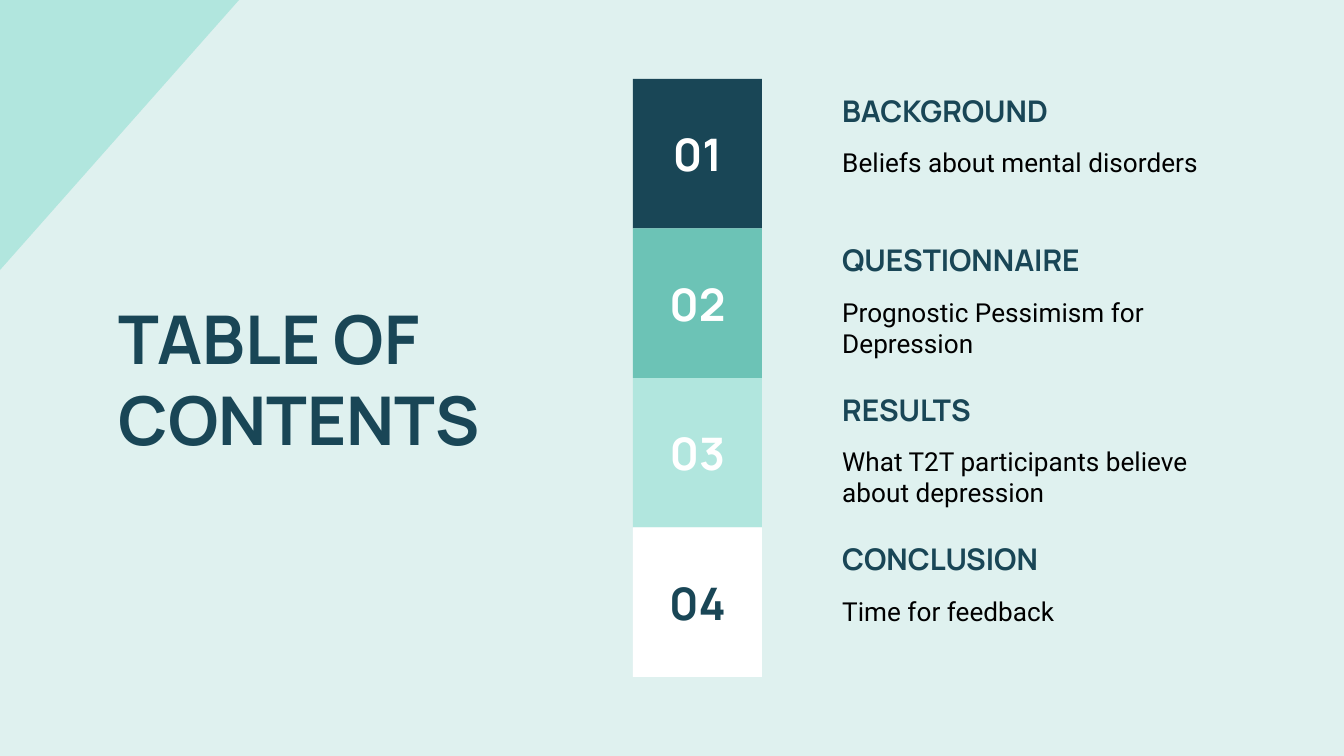
from pptx import Presentation
from pptx import util as u
from pptx.dml.color import RGBColor
from pptx.enum import shapes, text

TITLE = "TABLE OF CONTENTS"
SECTIONS = [
    # number, heading, description, tile colour, number colour
    ("01", "BACKGROUND", "Beliefs about mental disorders", "navy", "white"),
    ("02", "QUESTIONNAIRE", "Prognostic Pessimism for Depression", "teal", "white"),
    ("03", "RESULTS", "What T2T participants believe about depression", "mint", "white"),
    ("04", "CONCLUSION", "Time for feedback", "white", "navy"),
]
THEME = {
    "colors": {"background": "DFF1EF", "navy": "194656", "teal": "6CC3B6",
               "mint": "B1E6DE", "white": "FFFFFF", "black": "000000"},
    # font, size in points, bold
    "title": ("Manrope", 36, True),
    "number": ("Manrope", 24, True),
    "heading": ("Manrope", 16, True),
    "description": ("Roboto", 14, False),
}

SLIDE_WIDTH, SLIDE_HEIGHT = 1344, 756
CORNER_WIDTH, CORNER_HEIGHT = 239, 270
TITLE_BOX = (105, 243, 462, 270)
TILE_LEFT, TILE_TOP, TILE_WIDTH = 633, 79, 129
ROW_PITCH = 149.5
TEXT_LEFT, TEXT_WIDTH = 829, 410
HEADING_HEIGHT, DESCRIPTION_HEIGHT = 54, 78
INSET = 13.44


def px(value):
    return u.Emu(round(value * 914400 / 134.4))


def color(name):
    return RGBColor.from_string(THEME["colors"][name])


def paint(shape, color_name):
    shape.fill.solid()
    shape.fill.fore_color.rgb = color(color_name)
    shape.line.fill.background()
    shape.shadow.inherit = False


def write(shape, content, style, color_name, align=text.PP_ALIGN.LEFT,
          anchor=text.MSO_ANCHOR.TOP, side_inset=INSET):
    frame = shape.text_frame
    frame.text = content
    frame.word_wrap = True
    frame.auto_size = text.MSO_AUTO_SIZE.NONE
    frame.vertical_anchor = anchor
    frame.margin_left = frame.margin_right = px(side_inset)
    frame.margin_top = frame.margin_bottom = px(INSET)
    paragraph = frame.paragraphs[0]
    paragraph.alignment = align
    font = paragraph.runs[0].font
    name, size, font.bold = THEME[style]
    font.name, font.size = name, u.Pt(size)
    font.color.rgb = color(color_name)


def add_corner(slide):
    builder = slide.shapes.build_freeform(0, 0)
    builder.add_line_segments([(0, px(CORNER_HEIGHT)), (px(CORNER_WIDTH), 0)])
    paint(builder.convert_to_shape(), "mint")


def add_title(slide):
    title = slide.shapes.title
    title.left, title.top, title.width, title.height = map(px, TITLE_BOX)
    write(title, TITLE, "title", "navy", anchor=text.MSO_ANCHOR.MIDDLE)


def add_section(slide, top, number, heading, description, tile_color, number_color):
    tile = slide.shapes.add_shape(
        shapes.MSO_SHAPE.RECTANGLE,
        px(TILE_LEFT), px(top), px(TILE_WIDTH), px(ROW_PITCH))
    paint(tile, tile_color)
    write(tile, number, "number", number_color, text.PP_ALIGN.CENTER,
          text.MSO_ANCHOR.MIDDLE, side_inset=0)

    heading_box = slide.shapes.add_textbox(
        px(TEXT_LEFT), px(top), px(TEXT_WIDTH), px(HEADING_HEIGHT))
    write(heading_box, heading, "heading", "navy")
    description_box = slide.shapes.add_textbox(
        px(TEXT_LEFT), px(top + HEADING_HEIGHT), px(TEXT_WIDTH), px(DESCRIPTION_HEIGHT))
    write(description_box, description, "description", "black")


def main():
    presentation = Presentation()
    presentation.slide_width = px(SLIDE_WIDTH)
    presentation.slide_height = px(SLIDE_HEIGHT)
    slide = presentation.slides.add_slide(presentation.slide_layouts.get_by_name("Title Only"))
    slide.background.fill.solid()
    slide.background.fill.fore_color.rgb = color("background")

    add_corner(slide)
    add_title(slide)
    for row, section in enumerate(SECTIONS):
        add_section(slide, TILE_TOP + row * ROW_PITCH, *section)
    presentation.save("out.pptx")


if __name__ == "__main__":
    main()
